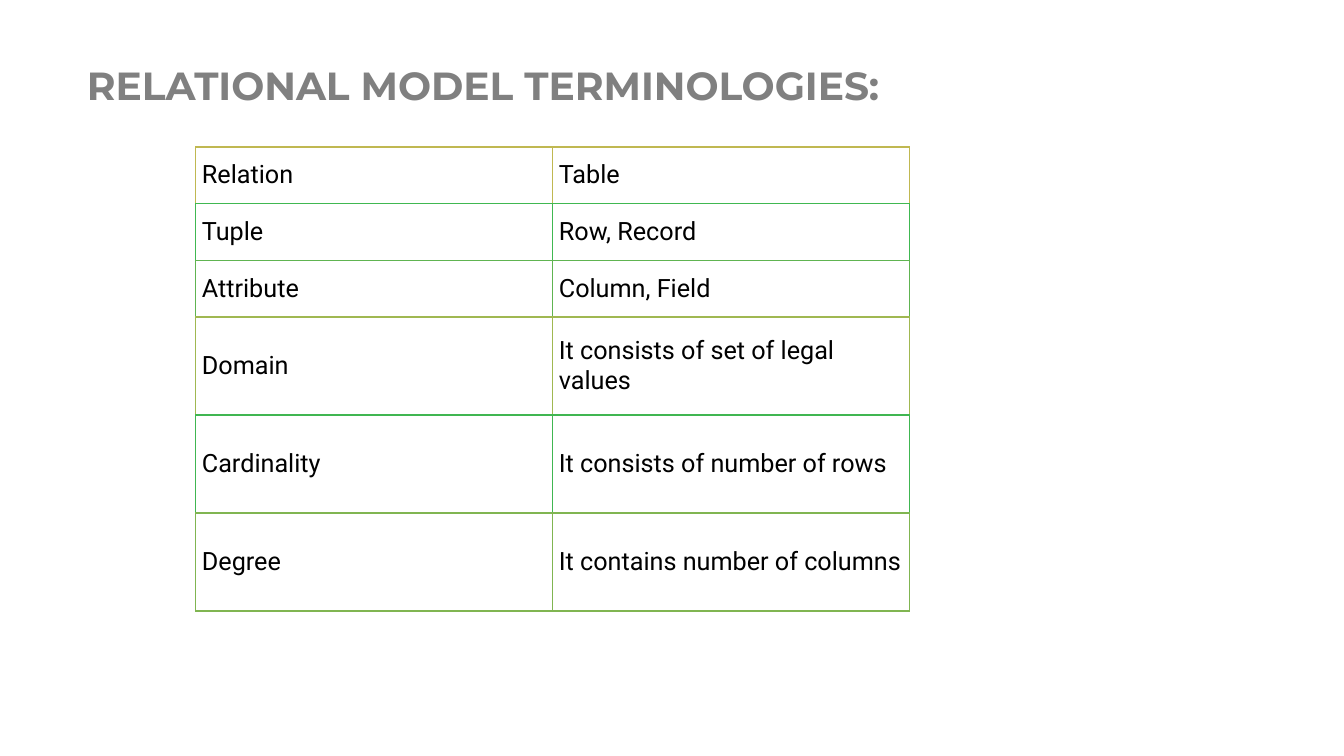
import pptx
import pptx.dml.color
import pptx.enum.text
import pptx.oxml
import pptx.oxml.ns
import pptx.util
from dataclasses import dataclass

Pt = pptx.util.Pt
RGBColor = pptx.dml.color.RGBColor
MIDDLE = pptx.enum.text.MSO_ANCHOR.MIDDLE


@dataclass(frozen=True)
class Theme:
    title_font: str = "Montserrat"
    body_font: str = "Roboto"
    title_size: int = 28
    body_size: int = 18
    title_color: str = "808080"
    body_color: str = "000000"
    cell_fill: str = "FFFFFF"
    # One border colour for each table row
    row_borders: tuple = ("C0B851", "40B851", "60B451", "A0B851", "40B651", "80B551")


theme = Theme()


def write_text(frame, text, *, font, size, color, bold=False, line_spacing=None):
    paragraph = frame.paragraphs[0]
    paragraph.line_spacing = line_spacing
    run = paragraph.add_run()
    run.text = text
    run.font.name = font
    run.font.size = Pt(size)
    run.font.bold = bold
    run.font.color.rgb = RGBColor.from_string(color)


def add_border(cell, side, color):
    cell._tc.get_or_add_tcPr().append(pptx.oxml.parse_xml(
        f'<a:ln{side} {pptx.oxml.ns.nsdecls("a")} w="{Pt(1)}"><a:solidFill>'
        f'<a:srgbClr val="{color}"/></a:solidFill></a:ln{side}>'))


presentation = pptx.Presentation()
presentation.slide_width = Pt(960)
presentation.slide_height = Pt(540)
slide = presentation.slides.add_slide(presentation.slide_layouts[6])

# Title
title = slide.shapes.add_textbox(Pt(55), Pt(31), Pt(720), Pt(64)).text_frame
title.word_wrap = True
title.vertical_anchor = MIDDLE
write_text(title, "RELATIONAL MODEL TERMINOLOGIES:", font=theme.title_font,
           size=theme.title_size, color=theme.title_color, bold=True, line_spacing=0.9)

# Table of terms: row height, term, meaning
terms = [
    (40.5, "Relation", "Table"),
    (40.5, "Tuple", "Row, Record"),
    (40.5, "Attribute", "Column, Field"),
    (70, "Domain", "It consists of set of legal values"),
    (70, "Cardinality", "It consists of number of rows"),
    (70, "Degree", "It contains number of columns"),
]
column_width = 255
table_height = sum(height for height, *_ in terms)
table = slide.shapes.add_table(len(terms), 2, Pt(139.75), Pt(105),
                               Pt(2 * column_width), Pt(table_height)).table
table.first_row = False
table.horz_banding = False
for column in table.columns:
    column.width = Pt(column_width)

for row_index, (height, *texts) in enumerate(terms):
    table.rows[row_index].height = Pt(height)
    own_color = theme.row_borders[row_index]
    # The bottom edge takes the colour of the row below
    next_color = theme.row_borders[min(row_index + 1, len(terms) - 1)]
    for column_index, text in enumerate(texts):
        cell = table.cell(row_index, column_index)
        cell.vertical_anchor = MIDDLE
        cell.margin_left = cell.margin_right = Pt(4.5)
        cell.margin_top = cell.margin_bottom = Pt(4.5)
        for side, color in zip("LRTB", (own_color, own_color, own_color, next_color)):
            add_border(cell, side, color)
        cell.fill.solid()
        cell.fill.fore_color.rgb = RGBColor.from_string(theme.cell_fill)
        write_text(cell.text_frame, text, font=theme.body_font,
                   size=theme.body_size, color=theme.body_color)

presentation.save("out.pptx")
